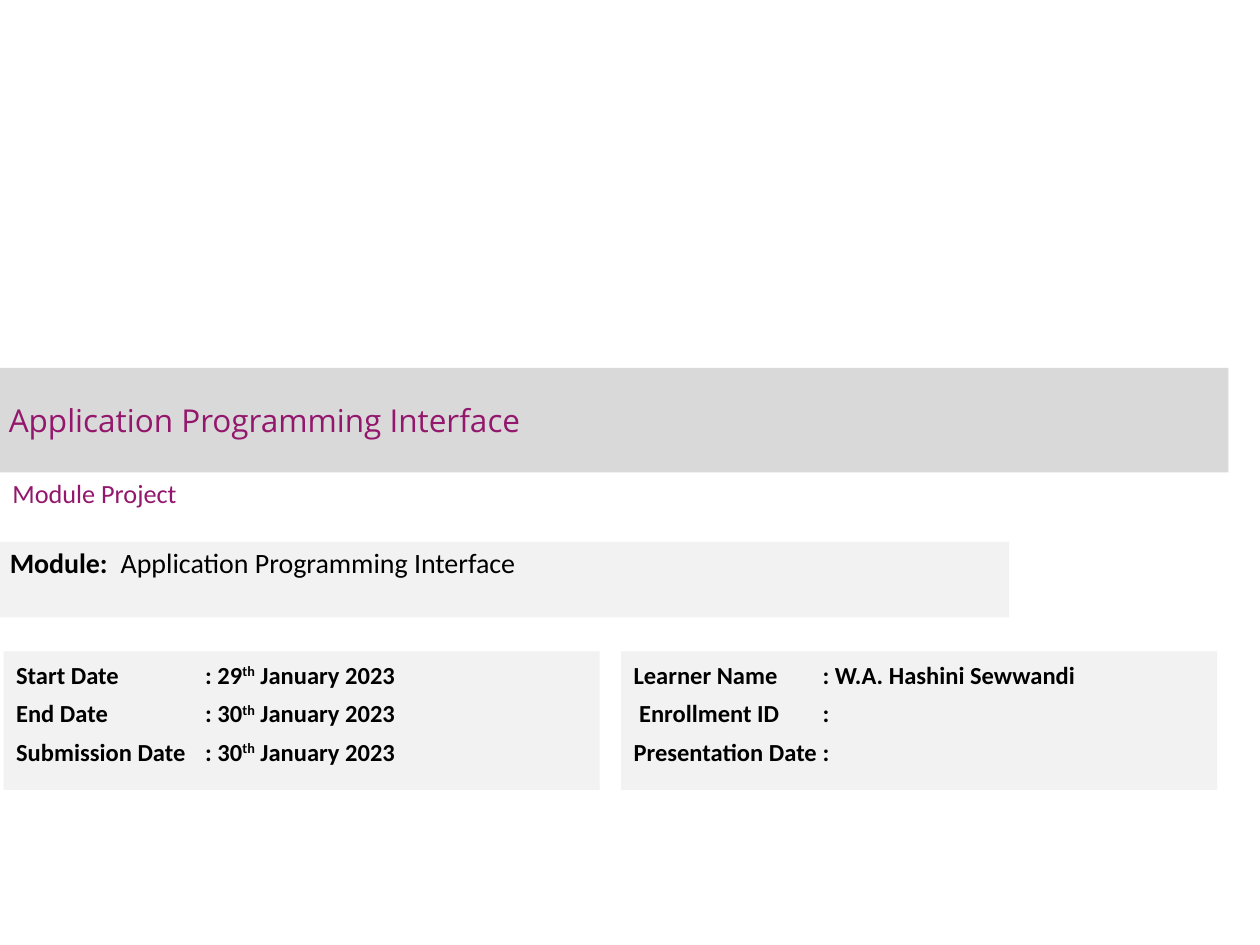
from dataclasses import dataclass

from lxml.etree import SubElement
from pptx import Presentation
from pptx.dml.color import RGBColor
from pptx.enum.shapes import MSO_SHAPE as Shape
from pptx.enum.text import MSO_ANCHOR as Anchor, MSO_AUTO_SIZE as AutoSize, PP_ALIGN as Align
from pptx.oxml.ns import qn
from pptx.util import Inches, Pt

PURPLE = RGBColor(0x93, 0x17, 0x6C)
BLACK = RGBColor(0, 0, 0)
BAND = RGBColor(0xD9, 0xD9, 0xD9)
PANEL = RGBColor(0xF2, 0xF2, 0xF2)


@dataclass(frozen=True)
class Span:
    text: str
    bold: bool = True
    raised: bool = False


@dataclass(frozen=True)
class Panel:
    left: float
    top: float
    width: float
    height: float
    size: int
    tab: float
    lines: tuple[tuple[Span, ...], ...]


def date_line(label: str, day: int) -> tuple[Span, ...]:
    return Span(f"{label}\t: {day}"), Span("th", raised=True), Span(" January 2023")


PANELS = (
    Panel(0.03, 5.17, 4.73, 1.1, 14, 1.5, (
        date_line("Start Date", 29),
        date_line("End Date", 30),
        date_line("Submission Date", 30),
    )),
    Panel(-0.02, 4.3, 8.03, 0.6, 16, 0.88, (
        (Span("Module:\t"), Span("Application Programming Interface", bold=False)),
    )),
    Panel(4.93, 5.17, 4.73, 1.1, 14, 1.5, (
        (Span("Learner Name\t: W.A. Hashini Sewwandi"),),
        (Span(" Enrollment ID\t:"),),
        (Span("Presentation Date\t:"),),
    )),
)


def add_span(para, text: str, font: str, size: int, color: RGBColor, bold: bool = False):
    span = para.add_run()
    span.text = text
    span.font.name = font
    span.font.size = Pt(size)
    span.font.bold = bold
    span.font.color.rgb = color
    return span


def add_tab(para, position: float) -> None:
    tabs = SubElement(para._p.get_or_add_pPr(), qn("a:tabLst"))
    SubElement(tabs, qn("a:tab"), pos=str(Inches(position)), algn="l")


def draw_panel(page, panel: Panel) -> None:
    box = page.shapes.add_shape(
        Shape.RECTANGLE, Inches(panel.left), Inches(panel.top),
        Inches(panel.width), Inches(panel.height))
    box.shadow.inherit = False
    box.fill.solid()
    box.fill.fore_color.rgb = PANEL
    box.line.fill.background()
    frame = box.text_frame
    frame.word_wrap = True
    frame.vertical_anchor = Anchor.TOP
    for index, line in enumerate(panel.lines):
        para = frame.add_paragraph() if index else frame.paragraphs[0]
        para.alignment = Align.LEFT
        para.line_spacing = Pt(18)
        para.space_before = Pt(2 if index else 0)
        para.space_after = Pt(2)
        add_tab(para, panel.tab)
        for part in line:
            span = add_span(para, part.text, "Calibri", panel.size, BLACK, part.bold)
            if part.raised:
                span._r.get_or_add_rPr().set("baseline", "30000")


def draw_title(page) -> None:
    title = page.shapes.title
    title.left, title.top = Inches(0), Inches(2.92)
    title.width, title.height = Inches(9.75), Inches(0.83)
    title.fill.solid()
    title.fill.fore_color.rgb = BAND
    frame = title.text_frame
    frame.auto_size = AutoSize.NONE
    frame.word_wrap = True
    frame.vertical_anchor = Anchor.MIDDLE
    frame.margin_left = frame.margin_right = Inches(0.07)
    frame.margin_top = frame.margin_bottom = Inches(0.04)
    para = frame.paragraphs[0]
    para.alignment = Align.LEFT
    add_span(para, "Application Programming Interface", "Open Sans", 18, PURPLE)


def draw_subtitle(page) -> None:
    box = page.shapes.add_textbox(Inches(0), Inches(3.6), Inches(6.42), Inches(0.62))
    frame = box.text_frame
    frame.word_wrap = True
    frame.vertical_anchor = Anchor.MIDDLE
    add_span(frame.paragraphs[0], "Module Project", "Calibri", 15, PURPLE)


def main() -> None:
    deck = Presentation()
    deck.slide_width, deck.slide_height = Inches(10), Inches(7.5)
    page = deck.slides.add_slide(deck.slide_layouts[5])
    draw_title(page)
    draw_subtitle(page)
    for panel in PANELS:
        draw_panel(page, panel)
    deck.save("out.pptx")


if __name__ == "__main__":
    main()
